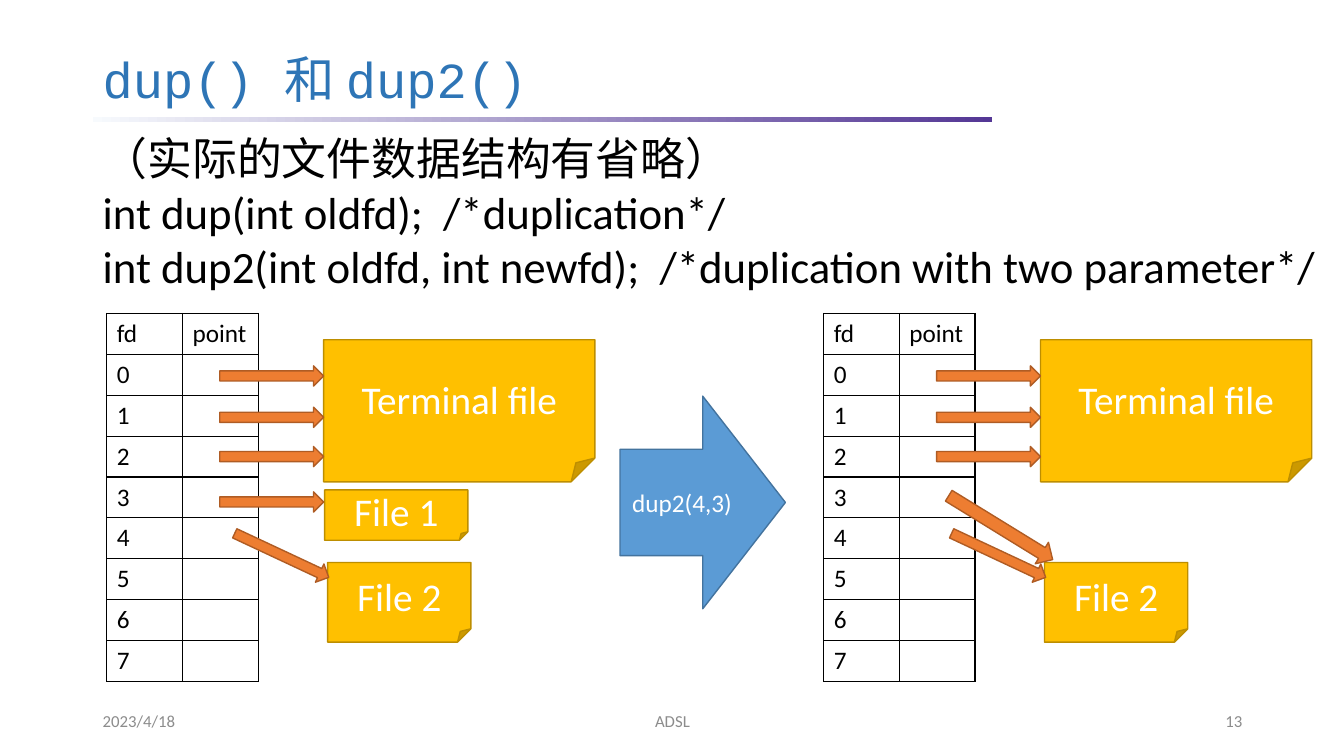
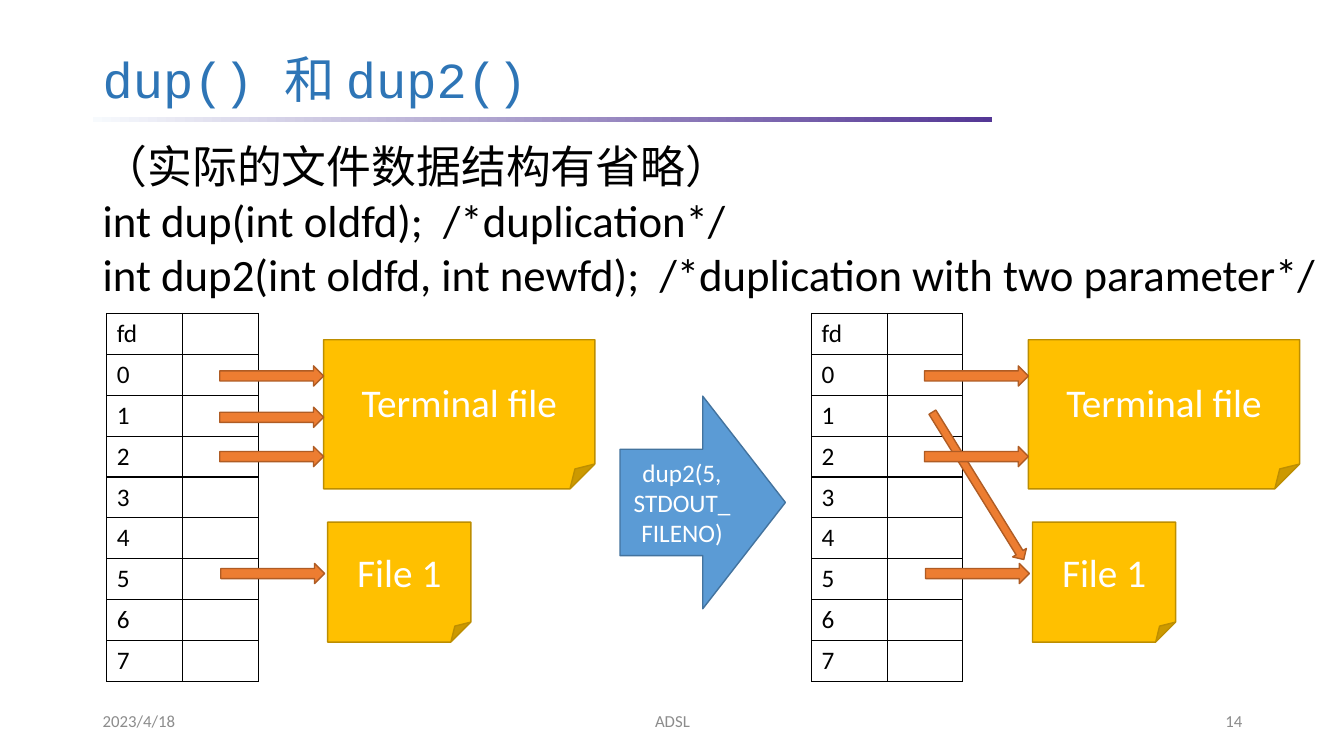
"""Build two slides that show how dup() and dup2() change a file table."""
from dataclasses import dataclass

import lxml.etree
import pptx
import pptx.dml.color
import pptx.enum.shapes
import pptx.enum.text
import pptx.oxml.ns
import pptx.util
from pptx.util import Inches

KIND = pptx.enum.shapes.MSO_SHAPE
ALIGN = pptx.enum.text.PP_ALIGN
ANCHOR = pptx.enum.text.MSO_ANCHOR

WHITE, BLACK, GREY = "FFFFFF", "000000", "8C8C8C"
TITLE = "2E75B6"
BAND = ("F7FAFD", "543795")
GOLD = ("FFC000", "BD8E00")
ORANGE = ("ED7D31", "AF5C24")
BLUE = ("5B9BD5", "43739E")

HEADING = "dup() 和 dup2()"
BODY = (
    "（实际的文件数据结构有省略）\n"
    "int dup(int oldfd);  /*duplication*/\n"
    "int dup2(int oldfd, int newfd);  /*duplication with two parameter*/"
)
MARGIN = 0.92
ROWS = 8


@dataclass(frozen=True)
class Note:
    text: str
    left: float
    top: float
    width: float
    height: float


@dataclass(frozen=True)
class Arrow:
    left: float
    top: float
    width: float = 1.03
    height: float = 0.2
    turn: float = 0


@dataclass(frozen=True)
class Panel:
    shift: float
    notes: tuple[Note, ...]
    arrows: tuple[Arrow, ...]


@dataclass(frozen=True)
class Page:
    number: int
    top: float
    header: tuple[str, str]
    call: str
    panels: tuple[Panel, Panel]


def hue(code: str) -> pptx.dml.color.RGBColor:
    return pptx.dml.color.RGBColor.from_string(code)


def write(frame, text: str, *, size: float = 18, color: str = BLACK,
          font: str = "Calibri", align=ALIGN.LEFT, anchor=ANCHOR.MIDDLE,
          wrap: bool = True, spacing: float = 1.0) -> None:
    frame.word_wrap = wrap
    frame.vertical_anchor = anchor
    for index, line in enumerate(text.split("\n")):
        para = frame.add_paragraph() if index else frame.paragraphs[0]
        para.alignment = align
        para.line_spacing = spacing
        run = para.add_run()
        run.text = line
        run.font.size = pptx.util.Pt(size)
        run.font.name = font
        run.font.color.rgb = hue(color)


def add_text(slide, text: str, left: float, top: float, width: float,
             height: float, **style):
    box = slide.shapes.add_textbox(
        Inches(left), Inches(top), Inches(width), Inches(height))
    write(box.text_frame, text, **style)
    return box


def add_shape(slide, kind, left: float, top: float, width: float,
              height: float, paint: tuple[str, str]):
    shape = slide.shapes.add_shape(
        kind, Inches(left), Inches(top), Inches(width), Inches(height))
    shape.shadow.inherit = False
    shape.fill.solid()
    shape.fill.fore_color.rgb = hue(paint[0])
    shape.line.color.rgb = hue(paint[1])
    shape.line.width = pptx.util.Pt(1)
    return shape


def add_frame(slide, number: int) -> None:
    band = add_shape(slide, KIND.RECTANGLE, MARGIN, 1.16, 8.92, 0.05, BAND)
    band.line.fill.background()
    band.fill.gradient()
    band.fill.gradient_angle = 0
    for place, (stop, code) in enumerate(zip(band.fill.gradient_stops, BAND)):
        stop.position = place
        stop.color.rgb = hue(code)
    add_text(slide, HEADING, MARGIN, 0.47, 8.81, 0.69, size=36, color=TITLE,
             font="Courier New", spacing=0.9)
    for text, left, width, align in (
        ("2023/4/18", MARGIN, 3, ALIGN.LEFT),
        ("ADSL", 4.42, 4.5, ALIGN.CENTER),
        (str(number), 9.42, 3, ALIGN.RIGHT),
    ):
        add_text(slide, text, left, 6.95, width, 0.4, size=12, color=GREY,
                 align=align)


def add_border(cell) -> None:
    props = cell._tc.get_or_add_tcPr()
    name = pptx.oxml.ns.qn
    for side in ("a:lnL", "a:lnR", "a:lnT", "a:lnB"):
        line = lxml.etree.SubElement(
            props, name(side), w=str(pptx.util.Pt(1)))
        fill = lxml.etree.SubElement(line, name("a:solidFill"))
        lxml.etree.SubElement(fill, name("a:srgbClr"), val=BLACK)


def add_grid(slide, left: float, header: tuple[str, str]) -> None:
    lines = [header, *((str(index), "") for index in range(ROWS))]
    table = slide.shapes.add_table(
        len(lines), 2, Inches(left), Inches(3.11), Inches(1.5),
        Inches(3.65)).table
    table.first_row = False
    table.horz_banding = False
    for row, line in enumerate(lines):
        for col, text in enumerate(line):
            cell = table.cell(row, col)
            add_border(cell)
            cell.fill.solid()
            cell.fill.fore_color.rgb = hue(WHITE)
            if text:
                write(cell.text_frame, text, anchor=ANCHOR.TOP)


def add_panel(slide, panel: Panel, header: tuple[str, str]) -> None:
    for note in panel.notes:
        shape = add_shape(slide, KIND.FOLDED_CORNER, note.left + panel.shift,
                          note.top, note.width, note.height, GOLD)
        write(shape.text_frame, note.text, size=28, color=WHITE,
              align=ALIGN.CENTER)
    add_grid(slide, 1.06 + panel.shift, header)
    for arrow in panel.arrows:
        shape = add_shape(slide, KIND.RIGHT_ARROW, arrow.left + panel.shift,
                          arrow.top, arrow.width, arrow.height, ORANGE)
        shape.rotation = arrow.turn


def add_page(deck, page: Page) -> None:
    slide = deck.slides.add_slide(deck.slide_layouts[6])
    add_frame(slide, page.number)
    body = add_text(slide, BODY, MARGIN, page.top, 12.37, 1.72, size=32,
                    anchor=ANCHOR.TOP, wrap=False)
    body.text_frame.auto_size = pptx.enum.text.MSO_AUTO_SIZE.SHAPE_TO_FIT_TEXT
    for panel in page.panels:
        add_panel(slide, panel, page.header)
    call = add_shape(slide, KIND.RIGHT_ARROW, 6.15, 3.93, 1.64, 2.11, BLUE)
    write(call.text_frame, page.call, color=WHITE, align=ALIGN.CENTER)


STDIN, STDOUT, STDERR = (Arrow(2.18, top) for top in (3.63, 4.04, 4.43))
FOURTH = Arrow(2.28, 5.41, turn=25.1)
FIFTH = Arrow(2.19, 5.59)

SHORT = Note("Terminal file", 3.21, 3.37, 2.69, 1.41)
TALL = Note("Terminal file", 3.21, 3.37, 2.69, 1.48)
FIRST = Note("File 1", 3.22, 4.86, 1.42, 0.5)
SECOND = Note("File 2", 3.25, 5.58, 1.42, 0.79)
OUTPUT = Note("File 1", 3.25, 5.18, 1.42, 1.19)

PAGES = (
    Page(13, 1.25, ("fd", "point"), "dup2(4,3)", (
        Panel(0, (SECOND, SHORT, FIRST),
              (Arrow(2.18, 4.88), STDIN, STDOUT, STDERR, FOURTH)),
        Panel(7.11, (SECOND, SHORT),
              (Arrow(2.21, 5.11, 1.21, 0.25, 31.6),
               STDIN, STDOUT, STDERR, FOURTH)),
    )),
    Page(14, 1.33, ("fd", ""), "dup2(5,\nSTDOUT_FILENO)", (
        Panel(0, (OUTPUT, TALL), (FIFTH, STDIN, STDOUT, STDERR)),
        Panel(6.99, (OUTPUT, TALL),
              (FIFTH, STDIN, Arrow(1.85, 4.74, 1.72, 0.16, 58.2), STDERR)),
    )),
)


def main() -> None:
    deck = pptx.Presentation()
    deck.slide_width = Inches(13.33)
    deck.slide_height = Inches(7.5)
    for page in PAGES:
        add_page(deck, page)
    deck.save("out.pptx")


if __name__ == "__main__":
    main()
